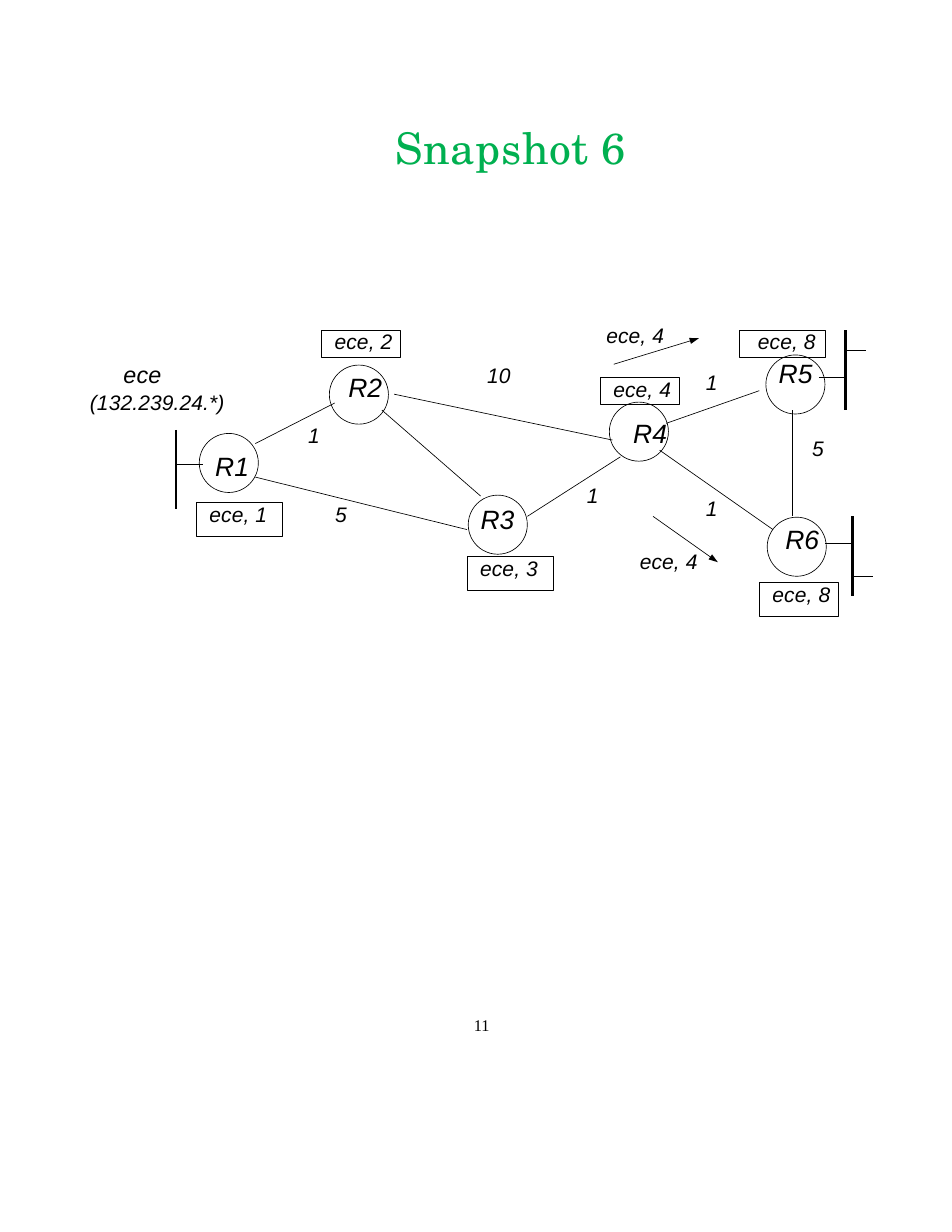
from pptx import Presentation
from pptx.dml.color import RGBColor
from pptx.enum.shapes import MSO_CONNECTOR as Connector, MSO_SHAPE as Shape
from pptx.enum.text import MSO_ANCHOR as Anchor, PP_ALIGN as Align
from pptx.oxml.ns import qn
from pptx.util import Cm, Pt
from lxml.etree import SubElement

BLACK = "000000"
THIN, THICK = 0.43, 1.71
NODE_SIZE = 1.34
BAR_LENGTH = 1.8

router_format = {"name": "Arial", "size": Pt(17), "italic": True}
host_format = {"name": "Arial", "size": Pt(15), "italic": True}
label_format = {"name": "Arial", "size": Pt(13.5), "italic": True}
number_format = {"name": "Times New Roman", "size": Pt(10.5)}
title_format = {"name": "TeX Gyre Schola", "size": Pt(28)}


def color(value):
    return RGBColor.from_string(value)


def write(shape, lines, indent=0.03, spacing=10, ink=BLACK, **paragraph_format):
    frame = shape.text_frame
    frame.word_wrap = True
    frame.vertical_anchor = Anchor.TOP
    for side in ("left", "top", "right", "bottom"):
        setattr(frame, f"margin_{side}", 0)
    for index, (text, font_format) in enumerate(lines):
        paragraph = frame.add_paragraph() if index else frame.paragraphs[0]
        for name, value in {"alignment": Align.LEFT, **paragraph_format}.items():
            setattr(paragraph, name, value)
        paragraph._p.get_or_add_pPr().set("marL", str(Cm(indent)))
        run = paragraph.add_run()
        run.text = text
        for name, value in font_format.items():
            setattr(run.font, name, value)
        run.font.color.rgb = color(ink)
        run._r.get_or_add_rPr().set("spc", str(spacing))
    return frame


presentation = Presentation()
presentation.slide_width = Cm(21.59)
presentation.slide_height = Cm(27.94)
slide = presentation.slides.add_slide(presentation.slide_layouts[6])
shapes = slide.shapes

links = [
    (5.79, 10.06, 7.59, 9.14),
    (5.79, 10.82, 10.59, 12.01),
    (8.66, 9.3, 10.9, 11.25),
    (8.94, 8.94, 13.89, 9.98),
    (11.96, 11.71, 14.07, 10.36),
    (15.11, 9.6, 17.22, 8.86),
    (14.96, 10.21, 17.53, 12.01),
    (17.98, 9.3, 17.98, 11.71),
]
stubs = [
    (3.99, 10.52, 4.6),
    (18.57, 8.56, 19.18),
    (19.18, 7.95, 19.63),
    (18.72, 12.32, 19.33),
    (19.33, 13.06, 19.79),
]
bars = [(3.99, 9.75), (19.18, 7.49), (19.33, 11.71)]
arrows = [(13.92, 8.26, 15.85, 7.67), (14.81, 11.71, 16.28, 12.75)]

strokes = [(link, THIN, False) for link in links]
strokes += [((left, y, right, y), THIN, False) for left, y, right in stubs]
strokes += [((x, top, x, top + BAR_LENGTH), THICK, False) for x, top in bars]
strokes += [(arrow, THIN, True) for arrow in arrows]
for ends, width, has_head in strokes:
    connector = shapes.add_connector(Connector.STRAIGHT, *map(Cm, ends))
    connector.line.width = Pt(width)
    connector.line.color.rgb = color(BLACK)
    if has_head:
        SubElement(connector.line._get_or_add_ln(), qn("a:tailEnd"), type="triangle", w="sm", len="med")
    SubElement(connector._element.spPr, qn("a:effectLst"))

routers = [
    ("R1", 4.52, 9.83, 4.85, 10.21),
    ("R2", 7.47, 8.28, 7.87, 8.41),
    ("R3", 10.62, 11.23, 10.87, 11.4),
    ("R4", 13.82, 9.12, 14.33, 9.45),
    ("R5", 17.37, 8.05, 17.63, 8.1),
    ("R6", 17.4, 11.73, 17.78, 11.86),
]
route_boxes = [
    ("ece, 1", 4.45, 11.4, 1.96, 0.76, 0.3),
    ("ece, 2", 7.29, 7.49, 1.8, 0.61, 0.3),
    ("ece, 3", 10.59, 12.62, 1.96, 0.76, 0.3),
    ("ece, 4", 13.61, 8.56, 1.8, 0.61, 0.3),
    ("ece, 8", 16.76, 7.49, 1.96, 0.61, 0.43),
    ("ece, 8", 17.22, 13.21, 1.8, 0.76, 0.3),
]
outlines = [(Shape.OVAL, x, y, NODE_SIZE, NODE_SIZE, None, 0) for _, x, y, _, _ in routers]
outlines += [(Shape.RECTANGLE, *place, text, indent) for text, *place, indent in route_boxes]
for kind, left, top, width, height, text, indent in outlines:
    shape = shapes.add_shape(kind, Cm(left), Cm(top), Cm(width), Cm(height))
    shape.shadow.inherit = False
    shape.fill.background()
    shape.line.width = Pt(THIN)
    shape.line.color.rgb = color(BLACK)
    if text:
        write(shape, [(text, label_format)], indent, line_spacing=Pt(15.3))

for text, _, _, left, top in routers:
    box = shapes.add_textbox(Cm(left), Cm(top), Cm(0.84), Cm(0.76))
    write(box, [(text, router_format)], spacing=0)

labels = [
    ("1", 6.96, 9.58, 0.33),
    ("5", 7.57, 11.38, 0.33),
    ("10", 11.02, 8.23, 0.61),
    ("1", 13.28, 10.95, 0.33),
    ("1", 15.98, 8.38, 0.33),
    ("1", 15.98, 11.23, 0.33),
    ("5", 18.39, 9.88, 0.33),
    ("ece, 4", 13.72, 7.32, 1.37),
    ("ece, 4", 14.48, 12.45, 1.37),
]
for text, left, top, width in labels:
    box = shapes.add_textbox(Cm(left), Cm(top), Cm(width), Cm(0.61))
    write(box, [(text, label_format)])

host = shapes.add_textbox(Cm(2.01), Cm(8.18), Cm(3.12), Cm(1.27))
frame = write(host, [("ece", host_format), ("(132.239.24.*)", label_format)])
frame.paragraphs[0]._p.get_or_add_pPr().set("marL", str(Cm(0.79)))
frame.paragraphs[1].space_before = Pt(0.6)

title = shapes.add_textbox(Cm(3.81), Cm(2.74), Cm(15.52), Cm(1.19))
write(title, [("Snapshot 6", title_format)], spacing=50, ink="00B050", alignment=Align.CENTER)

page_number = shapes.add_textbox(Cm(10.67), Cm(23.01), Cm(0.51), Cm(0.46))
frame = write(page_number, [("11", number_format)], 0.08, -10, line_spacing=Pt(12.3))
frame.margin_top = Cm(0.03)

presentation.save("out.pptx")
